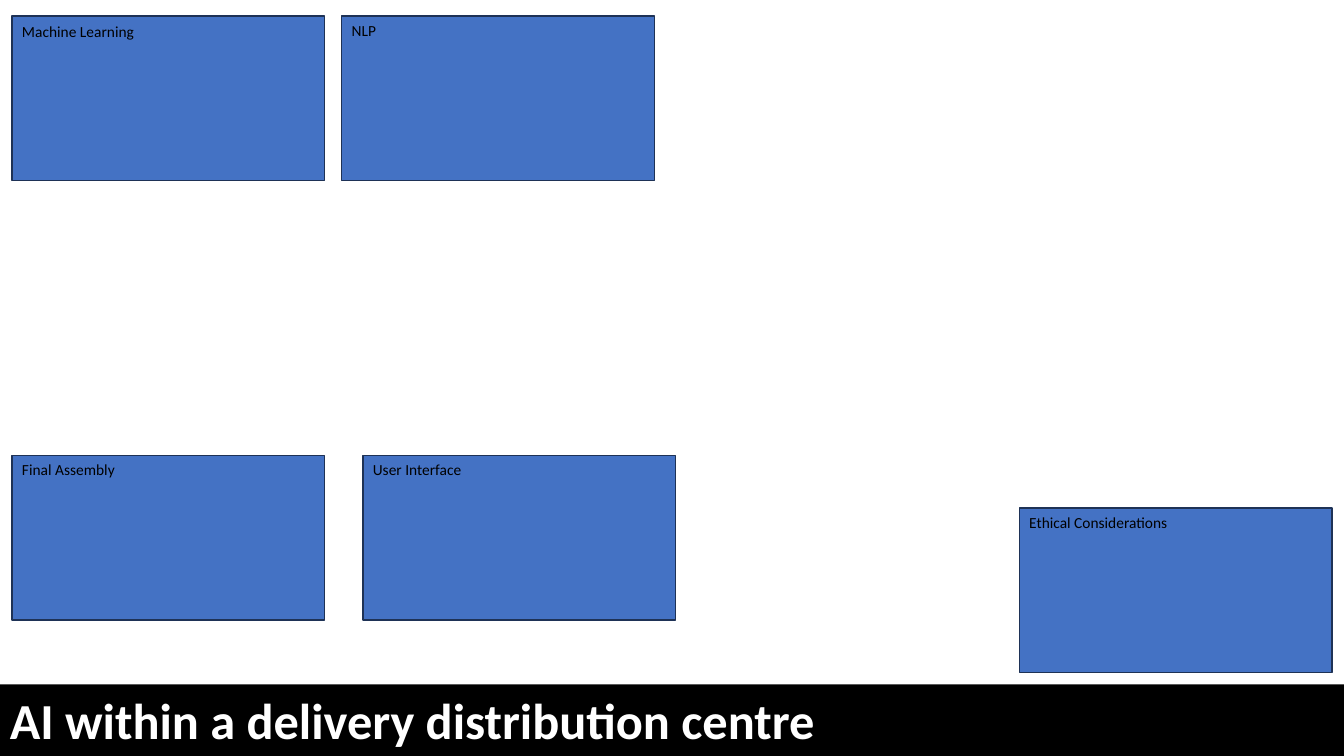
from pptx import Presentation
from pptx.dml.color import RGBColor
from pptx.enum.shapes import MSO_SHAPE
from pptx.enum.text import MSO_ANCHOR, MSO_AUTO_SIZE, PP_ALIGN
from pptx.util import Inches, Pt

# Content: panel label, left, top, label top
TITLE = "AI within a delivery distribution centre"
PANELS = [
    ("Machine Learning", 0.12, 0.16, 0.17),
    ("NLP", 3.39, 0.16, 0.16),
    ("Final Assembly", 0.12, 4.52, 4.52),
    ("User Interface", 3.6, 4.52, 4.52),
    ("Ethical Considerations", 10.11, 5.04, 5.04),
]

SLIDE_W, SLIDE_H = 13.33, 7.5
PANEL_W, PANEL_H = 3.1, 1.63
LABEL_H = 0.29
BAR_H = 0.71
FONT = "Calibri"
BLACK = RGBColor(0x00, 0x00, 0x00)
WHITE = RGBColor(0xFF, 0xFF, 0xFF)
BLUE = RGBColor(0x44, 0x72, 0xC4)
NAVY = RGBColor(0x1E, 0x32, 0x56)


def add_rect(s, left, top, width, height, fill, line=None):
    sp = s.shapes.add_shape(MSO_SHAPE.RECTANGLE, Inches(left), Inches(top),
                            Inches(width), Inches(height))
    sp.shadow.inherit = False
    sp.fill.solid()
    sp.fill.fore_color.rgb = fill
    if line is None:
        sp.line.fill.background()
    else:
        sp.line.color.rgb = line
        sp.line.width = Pt(1)
    return sp


def set_text(sp, text, size, color, bold=False):
    tf = sp.text_frame
    tf.word_wrap = True
    tf.auto_size = MSO_AUTO_SIZE.SHAPE_TO_FIT_TEXT
    tf.vertical_anchor = MSO_ANCHOR.TOP
    p = tf.paragraphs[0]
    p.text = text
    p.alignment = PP_ALIGN.LEFT
    p.font.name = FONT
    p.font.size = Pt(size)
    p.font.bold = bold
    p.font.color.rgb = color


prs = Presentation()
prs.slide_width, prs.slide_height = Inches(SLIDE_W), Inches(SLIDE_H)
s = prs.slides.add_slide(prs.slide_layouts[6])

# Title bar along the bottom edge
bar = add_rect(s, 0, SLIDE_H - BAR_H, SLIDE_W, BAR_H, BLACK)
set_text(bar, TITLE, 36, WHITE, bold=True)

# Panels with their labels
for label, left, top, label_top in PANELS:
    add_rect(s, left, top, PANEL_W, PANEL_H, BLUE, NAVY)
    box = s.shapes.add_textbox(Inches(left), Inches(label_top),
                               Inches(PANEL_W), Inches(LABEL_H))
    set_text(box, label, 11, BLACK)

prs.save("out.pptx")
